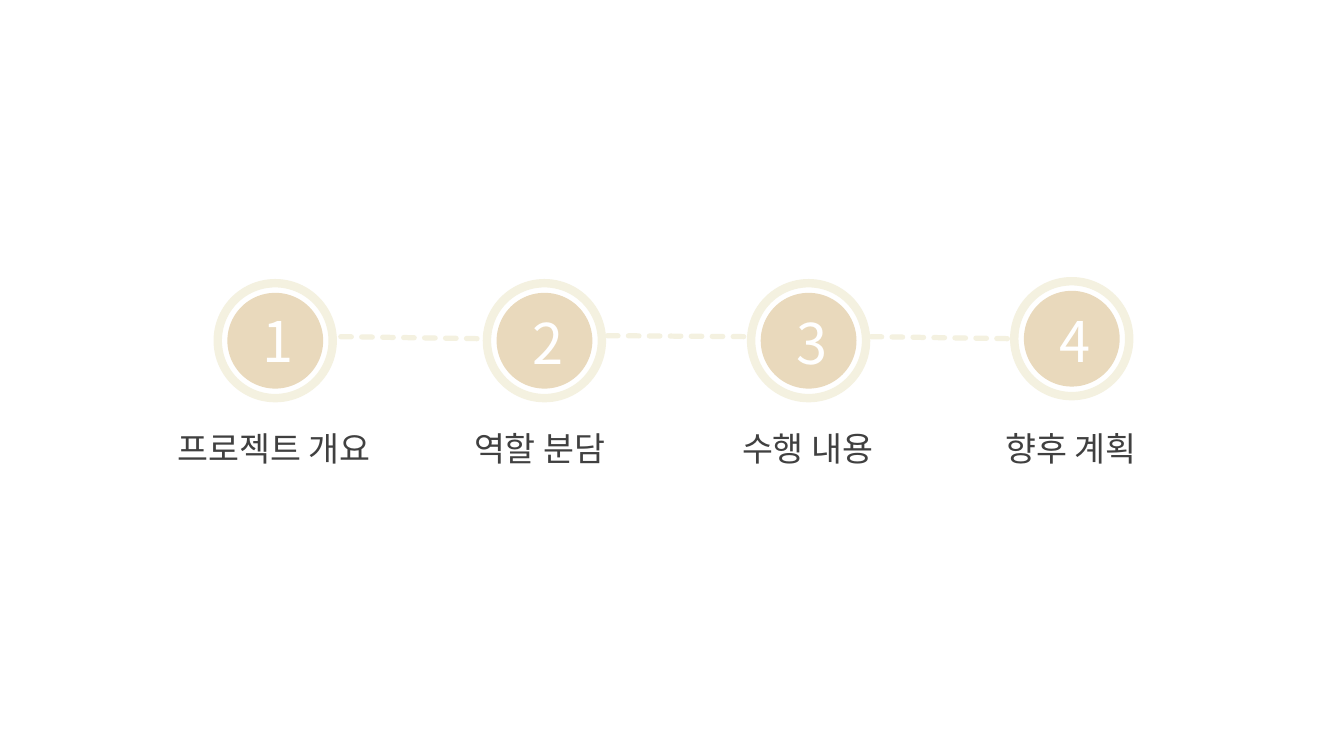
from itertools import pairwise

from pptx import Presentation
from pptx.dml.color import RGBColor
from pptx.enum.dml import MSO_LINE
from pptx.enum.shapes import MSO_CONNECTOR, MSO_SHAPE
from pptx.enum.text import MSO_AUTO_SIZE, PP_ALIGN
from pptx.oxml import parse_xml
from pptx.oxml.ns import nsdecls
from pptx.util import Inches, Pt

FONT = "Noto Sans CJK KR"
CREAM, SAND, WHITE, GRAY = "F4F1E0", "E9D9BC", "FFFFFF", "404040"


def cells(count):
    """Length of a number of grid cells, ten to the inch."""
    return Inches(count / 10)


def color(value):
    return RGBColor.from_string(value)


def write(shape, text, size=24, ink=GRAY, align=PP_ALIGN.CENTER):
    frame = shape.text_frame
    frame.word_wrap = True
    frame.auto_size = MSO_AUTO_SIZE.SHAPE_TO_FIT_TEXT
    paragraph = frame.paragraphs[0]
    paragraph.alignment = align
    run = paragraph.add_run()
    run.text = text
    run.font.size = Pt(size)
    run.font.name = FONT
    run.font.color.rgb = color(ink)
    properties = run.font._element
    properties.append(parse_xml(f'<a:ea {nsdecls("a")} typeface="{FONT}"/>'))


class AgendaSlide:
    RING, DISC = 11.4, 9.5
    DASH_LENGTH = 13.7

    def __init__(self, presentation):
        self.slide = presentation.slides.add_slide(presentation.slide_layouts[6])
        self.shapes = self.slide.shapes

    def circle(self, group, center_x, center_y, diameter):
        shape = group.shapes.add_shape(
            MSO_SHAPE.OVAL, cells(center_x - diameter / 2),
            cells(center_y - diameter / 2), cells(diameter), cells(diameter))
        shape.shadow.inherit = False
        return shape

    def medallion(self, center_x, center_y):
        group = self.shapes.add_group_shape()
        ring = self.circle(group, center_x, center_y, self.RING)
        ring.fill.background()
        ring.line.color.rgb = color(CREAM)
        ring.line.width = Pt(6)
        disc = self.circle(group, center_x, center_y, self.DISC)
        disc.fill.solid()
        disc.fill.fore_color.rgb = color(SAND)
        disc.line.fill.background()

    def text(self, text, center_x, top, width, height, **style):
        box = self.shapes.add_textbox(
            cells(center_x - width / 2), cells(top), cells(width), cells(height))
        write(box, text, **style)

    def dashes(self, middle_x, start_y, end_y):
        half = self.DASH_LENGTH / 2
        connector = self.shapes.add_connector(
            MSO_CONNECTOR.STRAIGHT, cells(middle_x - half), cells(start_y),
            cells(middle_x + half), cells(end_y))
        connector.line.color.rgb = color(CREAM)
        connector.line.width = Pt(3.75)
        connector.line.dash_style = MSO_LINE.SQUARE_DOT
        properties = connector._element.spPr
        line = connector.line._get_or_add_ln()
        line.set("cap", "rnd")
        line.find("{*}prstDash").set("val", "sysDash")
        properties.append(parse_xml(f'<a:effectLst {nsdecls("a")}/>'))


def main():
    presentation = Presentation()
    presentation.slide_width = Inches(13.33)
    presentation.slide_height = Inches(7.5)
    agenda = AgendaSlide(presentation)

    # Label, label width, centre of the circle, top of the number
    steps = [
        ("프로젝트 개요", 24.8, 27.3, 33.8, 29.9),
        ("역할 분담 ", 18.4, 54.0, 33.8, 30.1),
        ("수행 내용", 18.4, 80.2, 33.8, 30.1),
        ("향후 계획", 18.4, 106.3, 33.6, 29.9),
    ]

    # Numbered circles with their labels
    for number, (label, width, x, y, number_top) in enumerate(steps, 1):
        agenda.medallion(x, y)
        agenda.text(str(number), x, number_top, 4.4, 7.7, size=40, ink=WHITE)
        agenda.text(label, x - 0.1, 42, width, 5)

    # Dashed lines between neighbouring circles
    slopes = [(33.4, 33.6), (33.3, 33.4), (33.4, 33.6)]
    for (left, right), (start_y, end_y) in zip(pairwise(steps), slopes):
        agenda.dashes((left[2] + right[2]) / 2, start_y, end_y)

    presentation.save("out.pptx")


if __name__ == "__main__":
    main()
